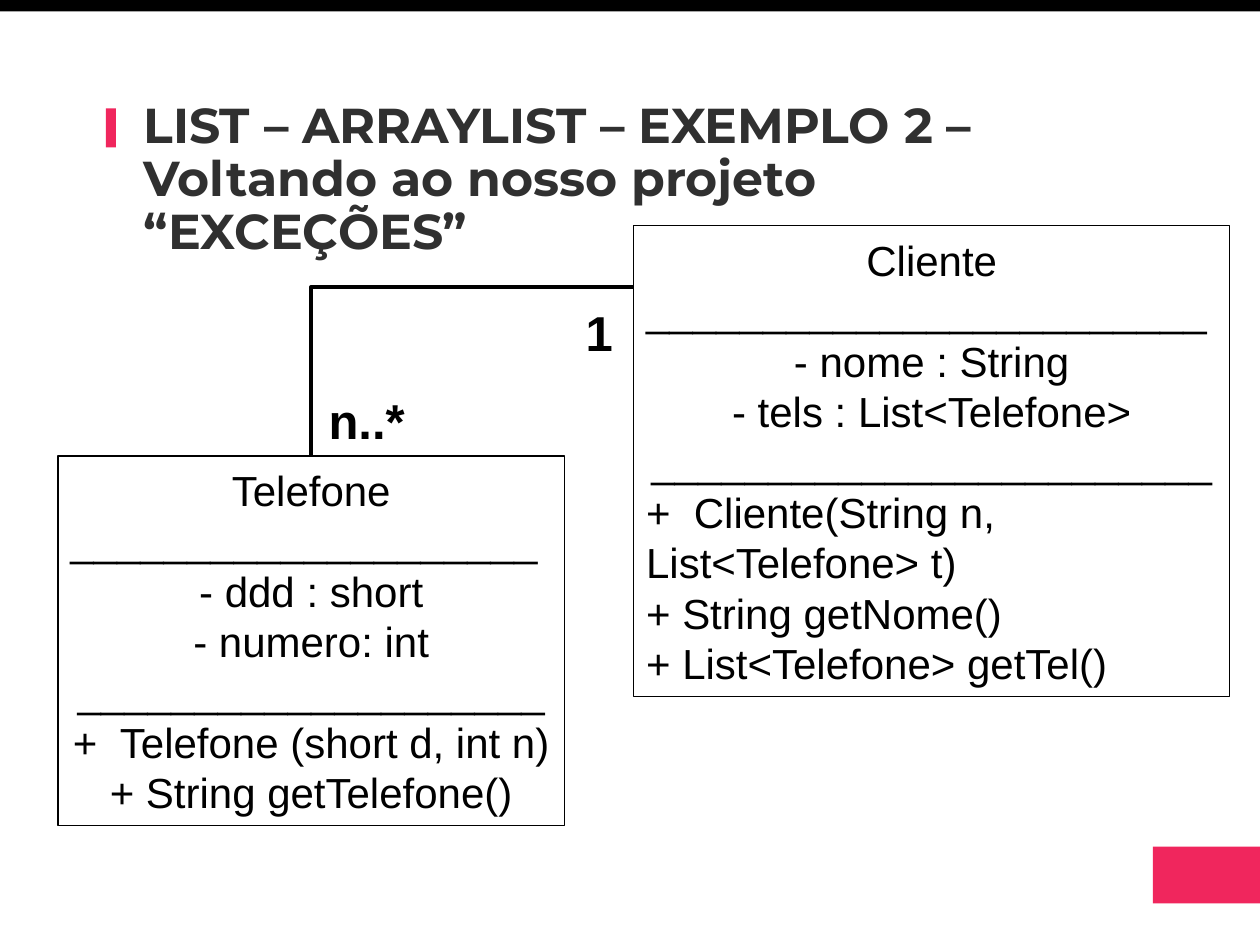
"""Build a class diagram slide linking Cliente and Telefone."""
from lxml.etree import SubElement
from pptx import Presentation
from pptx.dml.color import RGBColor
from pptx.enum.shapes import MSO_CONNECTOR as LINK, MSO_SHAPE as SHAPE
from pptx.enum.text import MSO_ANCHOR as ANCHOR, PP_ALIGN as ALIGN
from pptx.oxml.ns import qn
from pptx.util import Inches, Pt

PINK = RGBColor(0xF0, 0x26, 0x5D)
BLACK = RGBColor(0, 0, 0)
DARK = RGBColor(0x30, 0x30, 0x30)
LEFT, CENTER = ALIGN.LEFT, ALIGN.CENTER

TITLE = "LIST – ARRAYLIST – EXEMPLO 2 – Voltando ao nosso projeto “EXCEÇÕES”"
TITLE_AREA = (1.04, 0.75, 8.05, 0.95)
BARS = [
    ((9.15, 6.72, 0.86, 0.45), PINK),
    ((0.84, 0.86, 0.08, 0.31), PINK),
    ((0, 0, 10, 0.09), BLACK),
]
CLASSES = [
    ((5.03, 1.79, 4.73, 3.74), [
        ("Cliente", CENTER),
        ("_" * 24, LEFT),
        ("- nome : String", CENTER),
        ("- tels : List<Telefone>", CENTER),
        ("_" * 24, CENTER),
        ("+  Cliente(String n, List<Telefone> t)", LEFT),
        ("+ String getNome()", LEFT),
        ("+ List<Telefone> getTel()", LEFT),
    ]),
    ((0.46, 3.62, 4.02, 2.93), [
        ("Telefone", CENTER),
        ("_" * 20, LEFT),
        ("- ddd : short", CENTER),
        ("- numero: int", CENTER),
        ("_" * 20, CENTER),
        ("+  Telefone (short d, int n)", CENTER),
        ("+ String getTelefone()", CENTER),
    ]),
]
LINK_START, LINK_END = (2.47, 3.62), (5.03, 2.28)
MULTIPLICITIES = [
    ((4.55, 2.35, 0.42, 0.57), "1"),
    ((2.51, 3.05, 0.81, 0.57), "n..*"),
]
TITLE_FONT = {"name": "Montserrat", "size": Pt(28), "bold": True}
CLASS_FONT = {"name": "Arial", "size": Pt(24), "bold": False}
LABEL_FONT = {"name": "Arial", "size": Pt(28), "bold": True}


def write(frame, lines, font, color, wrap=True, anchor=ANCHOR.TOP):
    frame.word_wrap = wrap
    frame.vertical_anchor = anchor
    for index, (text, align) in enumerate(lines):
        para = frame.add_paragraph() if index else frame.paragraphs[0]
        para.alignment = align
        span = para.add_run()
        span.text = text
        for name, value in font.items():
            setattr(span.font, name, value)
        span.font.color.rgb = color


def add_box(page, area, fill=None):
    box = page.shapes.add_shape(SHAPE.RECTANGLE, *map(Inches, area))
    box.shadow.inherit = False
    if fill is None:
        box.fill.background()
        box.line.color.rgb = BLACK
        box.line.width = Pt(0.75)
    else:
        box.fill.solid()
        box.fill.fore_color.rgb = fill
        box.line.fill.background()
    return box


def add_bent_link(page, start, end):
    middle_x, middle_y = ((a + b) / 2 for a, b in zip(start, end))
    half_x, half_y = (abs(a - b) / 2 for a, b in zip(start, end))
    corners = (middle_x + half_y, middle_y + half_x,
               middle_x - half_y, middle_y - half_x)
    link = page.shapes.add_connector(LINK.ELBOW, *map(Inches, corners))
    link.line.color.rgb = BLACK
    link.line.width = Pt(2.25)
    props = link._element.spPr
    props.find(qn("a:xfrm")).set("rot", "5400000")
    props.find(qn("a:prstGeom")).set("prst", "bentConnector2")
    SubElement(props, qn("a:effectLst"))


def main():
    deck = Presentation()
    deck.slide_width, deck.slide_height = Inches(10), Inches(7.5)
    page = deck.slides.add_slide(deck.slide_layouts[5])

    for area, color in BARS:
        add_box(page, area, color)

    title = page.shapes.title
    title.left, title.top, title.width, title.height = map(Inches, TITLE_AREA)
    write(title.text_frame, [(TITLE, LEFT)], TITLE_FONT, DARK)
    title.text_frame.paragraphs[0].line_spacing = 0.9

    for area, lines in CLASSES:
        box = add_box(page, area)
        write(box.text_frame, lines, CLASS_FONT, BLACK, anchor=ANCHOR.MIDDLE)

    add_bent_link(page, LINK_START, LINK_END)

    for area, text in MULTIPLICITIES:
        label = page.shapes.add_textbox(*map(Inches, area))
        write(label.text_frame, [(text, LEFT)], LABEL_FONT, BLACK, wrap=False)

    deck.save("out.pptx")


if __name__ == "__main__":
    main()
